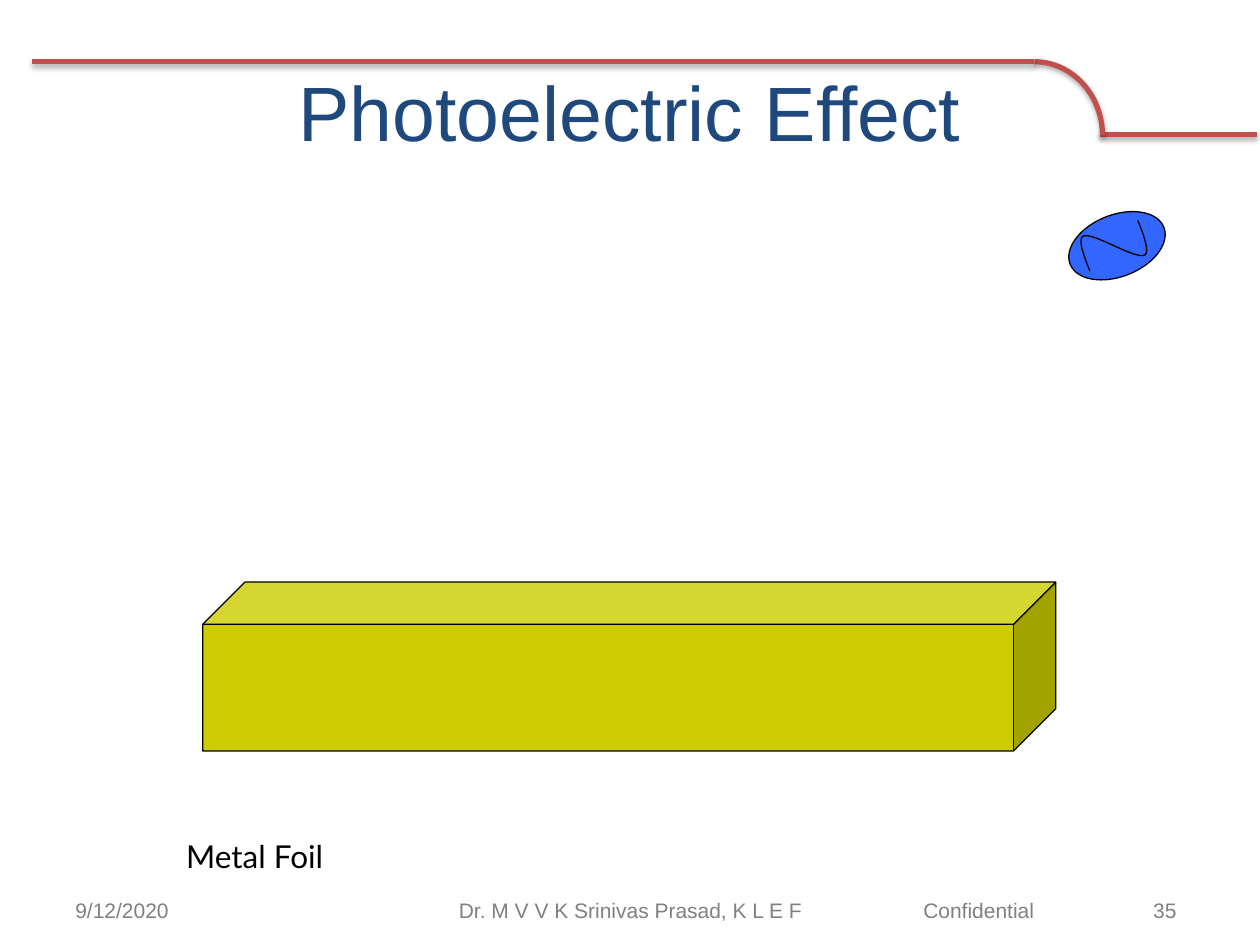
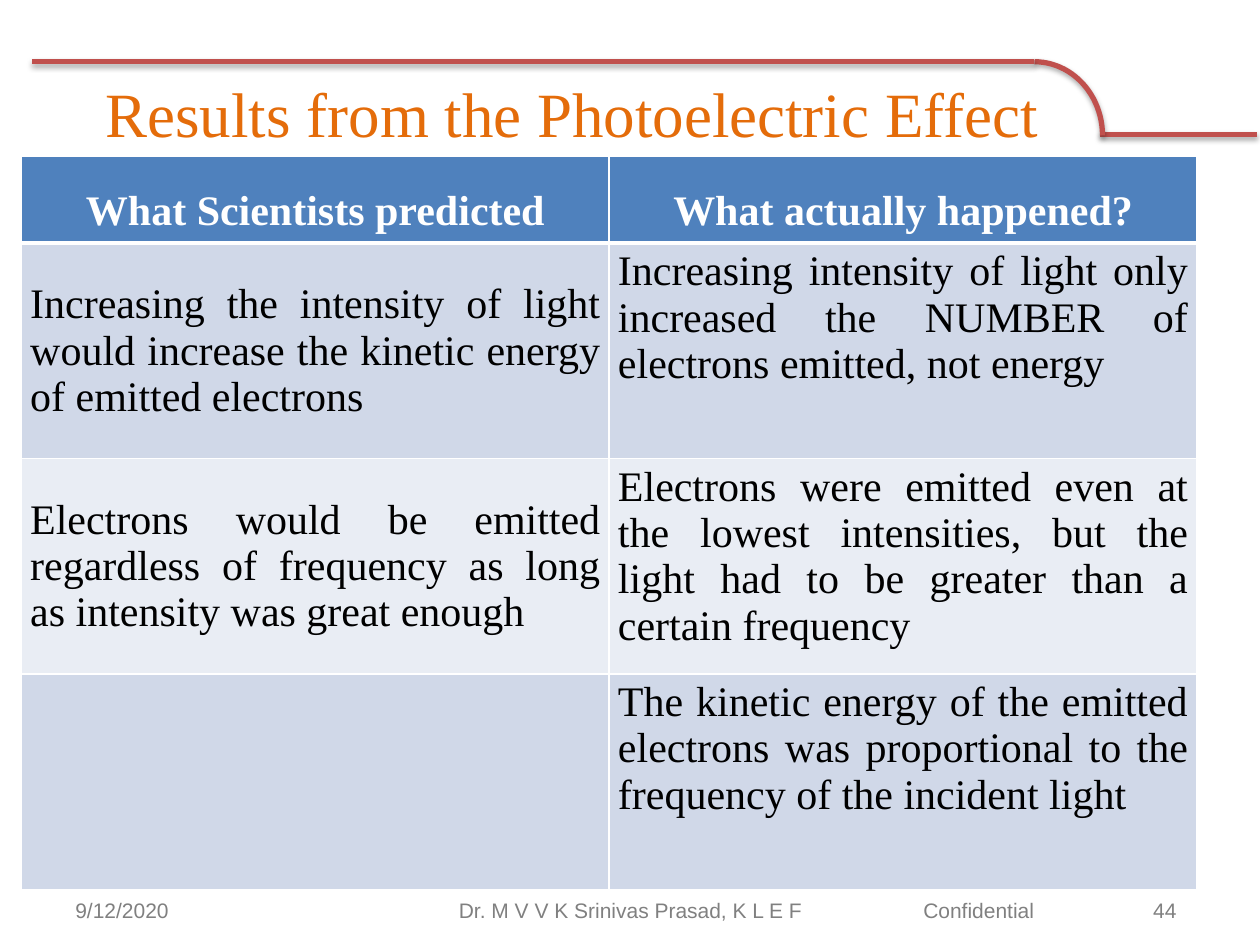
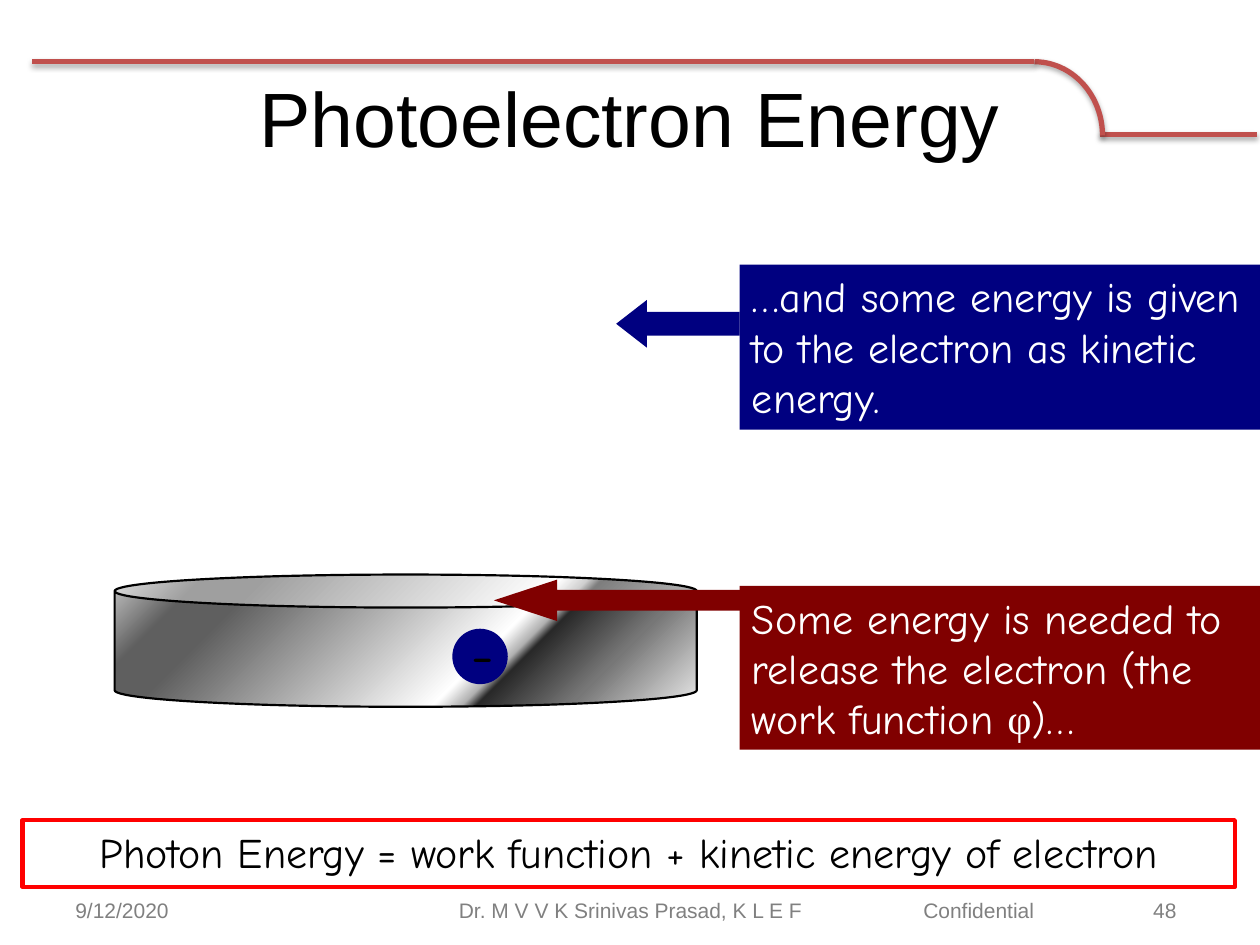
from lxml import etree
from pptx import Presentation
from pptx.dml.color import RGBColor
from pptx.enum import shapes, text
from pptx.oxml import ns, parse_xml
from pptx.util import Inches, Pt

KIND = shapes.MSO_SHAPE
ALIGN = text.PP_ALIGN
ANCHOR = text.MSO_ANCHOR

BLACK, WHITE, GREY = "000000", "FFFFFF", "808080"
RULE_RED, NAVY, MAROON = "C0504D", "000080", "800000"
HEADER_BLUE, BAND_DARK, BAND_LIGHT = "4F81BD", "D0D8E8", "E9EDF4"
SANS, SERIF, CASUAL = "Arial", "Times New Roman", "Comic Neue"

STEEL = [(0, "CBCBCB"), (13, "5F5F5F"), (21, "5F5F5F"), (63, "FFFFFF"),
         (67, "B2B2B2"), (69, "292929"), (82, "777777"), (100, "EAEAEA")]
# Half of the photon's wave: offsets from its centre, two cubic curves
HALF_WAVE = [(0, 0), (-0.11, -0.05), (-0.22, -0.1), (-0.25, -0.07),
             (-0.28, -0.04), (-0.24, 0.08), (-0.19, 0.2)]
RESULTS = [
    ("What Scientists predicted", "What actually happened?"),
    ("Increasing the intensity of light would increase the kinetic energy of emitted electrons",
     "Increasing intensity of light only increased the NUMBER of electrons emitted, not energy"),
    ("Electrons would be emitted regardless of frequency as long as intensity was great enough",
     "Electrons were emitted even at the lowest intensities, but the light had to be greater "
     "than a certain frequency"),
    ("", "The kinetic energy of the emitted electrons was proportional to the frequency of "
         "the incident light"),
]


def colour(code):
    return RGBColor.from_string(code)


def inches(values):
    return [Inches(value) for value in values]


def add_xml(parent, tag, **attributes):
    attributes = {name: str(value) for name, value in attributes.items()}
    return etree.SubElement(parent, ns.qn(tag), attributes)


def curve_points(controls, steps=12):
    """Points along joined cubic curves whose end points are shared."""
    points = [controls[0]]
    for first in range(0, len(controls) - 1, 3):
        a, b, c, d = controls[first:first + 4]
        for step in range(1, steps + 1):
            t = step / steps
            s = 1 - t
            points.append(tuple(
                s ** 3 * a[i] + 3 * s * s * t * b[i] + 3 * s * t * t * c[i] + t ** 3 * d[i]
                for i in (0, 1)))
    return points


class Lecture:
    def __init__(self):
        self.deck = Presentation()
        self.deck.slide_width, self.deck.slide_height = Inches(10), Inches(7.5)
        self.page = None

    def new_page(self, number):
        """Start a slide with the red rule and the footer."""
        self.page = self.deck.slides.add_slide(self.deck.slide_layouts[5])
        self.rule((8.73, 1.07), (9.98, 1.07))
        arc = self.shape(KIND.ARC, (7.67, 0.49, 1.08, 1.17), line=RULE_RED, width=3)
        self.rule_shadow(arc)
        self.rule((8.21, 0.49), (0.25, 0.49))
        footer = dict(size=12, hue=GREY, anchor=ANCHOR.MIDDLE)
        self.label("9/12/2020", (0.5, 7.02, 2.33, 0.4), **footer)
        self.label("Dr. M V V K Srinivas Prasad, K L E F", (3.42, 7.02, 3.17, 0.4),
                   align=ALIGN.CENTER, **footer)
        self.label(f"Confidential\t{number}", (7.23, 7.02, 2.27, 0.4), tab=2.01, **footer)

    def rule(self, start, end):
        line = self.page.shapes.add_connector(
            shapes.MSO_CONNECTOR.STRAIGHT, *inches(start + end))
        line.line.color.rgb = colour(RULE_RED)
        line.line.width = Pt(3)
        self.rule_shadow(line)

    def rule_shadow(self, item):
        properties = item._element.spPr
        effects = properties.find(ns.qn("a:effectLst"))
        if effects is None:
            effects = add_xml(properties, "a:effectLst")
        shadow = add_xml(effects, "a:outerShdw", blurRad=Pt(3.1), dist=Pt(1.8),
                         dir=90 * 60000, rotWithShape=0)
        add_xml(add_xml(shadow, "a:srgbClr", val=BLACK), "a:alpha", val=35000)

    def paint(self, item, fill=None, line=None, width=0.75):
        item.shadow.inherit = False
        if fill:
            item.fill.solid()
            item.fill.fore_color.rgb = colour(fill)
        else:
            item.fill.background()
        if line:
            item.line.color.rgb = colour(line)
            item.line.width = Pt(width)
        else:
            item.line.fill.background()

    def shape(self, kind, place, adjust=(), **style):
        item = self.page.shapes.add_shape(kind, *inches(place))
        for index, value in enumerate(adjust):
            item.adjustments[index] = value
        self.paint(item, **style)
        return item

    def curve(self, controls):
        points = [tuple(inches(point)) for point in curve_points(controls)]
        builder = self.page.shapes.build_freeform(*points[0])
        builder.add_line_segments(points[1:], close=False)
        self.paint(builder.convert_to_shape(), line=BLACK)

    def gradient(self, item, stops, angle):
        item.fill.gradient()
        item.fill.gradient_angle = 360 - angle
        stop_list = item._element.spPr.find(".//" + ns.qn("a:gsLst"))
        for stop in list(stop_list):
            stop_list.remove(stop)
        for percent, code in stops:
            stop = add_xml(stop_list, "a:gs", pos=percent * 1000)
            add_xml(stop, "a:srgbClr", val=code)

    def set_text(self, frame, words, size, hue, font=SANS, align=ALIGN.LEFT,
                 anchor=ANCHOR.TOP, tab=None):
        """Fill a text frame; words is a string or a list of (text, font) spans."""
        frame.word_wrap = True
        frame.auto_size = text.MSO_AUTO_SIZE.NONE
        frame.vertical_anchor = anchor
        para = frame.paragraphs[0]
        para.alignment = align
        if tab:
            tabs = add_xml(para._p.get_or_add_pPr(), "a:tabLst")
            add_xml(tabs, "a:tab", pos=Inches(tab), algn="r")
        para.font.size = Pt(size)
        para.font.color.rgb = colour(hue)
        if isinstance(words, str):
            para.font.name = font
            para.add_run().text = words
        else:
            for part, part_font in words:
                span = para.add_run()
                span.text = part
                span.font.name = part_font

    def label(self, words, place, **style):
        box = self.page.shapes.add_textbox(*inches(place))
        self.set_text(box.text_frame, words, **style)

    def title(self, words, place, hue, size=44, font=SANS):
        box = self.page.shapes.title
        box.left, box.top, box.width, box.height = inches(place)
        self.set_text(box.text_frame, words, size, hue, font, ALIGN.CENTER, ANCHOR.MIDDLE)

    def panel(self, words, place, hue=WHITE, align=ALIGN.LEFT, **style):
        box = self.shape(KIND.RECTANGLE, place, **style)
        self.set_text(box.text_frame, words, 24, hue, CASUAL, align)

    def table(self, rows, place, heights):
        frame = self.page.shapes.add_table(len(rows), len(rows[0]), *inches(place))
        for index, row in enumerate(rows):
            frame.table.rows[index].height = Inches(heights[index])
            for column, words in enumerate(row):
                self.cell(frame.table.cell(index, column), words, index, column)

    def cell(self, cell, words, row, column):
        header = row == 0
        cell.margin_left = cell.margin_right = Inches(0.07)
        cell.margin_top = cell.margin_bottom = Inches(0.04)
        cell.vertical_anchor = ANCHOR.MIDDLE if header or column == 0 else ANCHOR.TOP
        cell.fill.solid()
        cell.fill.fore_color.rgb = colour(
            HEADER_BLUE if header else BAND_DARK if row % 2 else BAND_LIGHT)
        self.borders(cell, {"L": 1, "R": 1, "T": 3 if row == 1 else 1, "B": 3 if header else 1})
        if words:
            para = cell.text_frame.paragraphs[0]
            para.text = words
            para.alignment = ALIGN.CENTER if header else ALIGN.JUSTIFY
            para.line_spacing = 1.5 if header else 1.0
            para.font.name, para.font.size, para.font.bold = SERIF, Pt(24), header
            para.font.color.rgb = colour(WHITE if header else BLACK)

    def borders(self, cell, widths):
        properties = cell._tc.get_or_add_tcPr()
        for index, (side, width) in enumerate(widths.items()):
            properties.insert(index, parse_xml(
                f'<a:ln{side} {ns.nsdecls("a")} w="{Pt(width)}"><a:solidFill>'
                f'<a:srgbClr val="{WHITE}"/></a:solidFill></a:ln{side}>'))


def photoelectric_effect(lecture):
    lecture.new_page(35)
    photon = lecture.shape(KIND.OVAL, (8.62, 1.55, 0.49, 0.8), fill="3366FF", line=BLACK)
    photon.rotation = 68.5
    for sign in (1, -1):
        lecture.curve([(8.84 + sign * x, 1.95 + sign * y) for x, y in HALF_WAVE])
    lecture.title("Photoelectric Effect", (0.33, 0.25, 9.34, 1.25), "1F497D")
    lecture.shape(KIND.CUBE, (1.61, 4.62, 6.77, 1.34), [0.25], fill="CCCC00", line=BLACK)
    lecture.label("Metal Foil", (1.38, 6.59, 5.67, 0.4), size=18, hue=BLACK, font="Lato")


def results(lecture):
    lecture.new_page(44)
    lecture.title("Results from the Photoelectric Effect", (0.5, 0.53, 8.08, 0.72),
                  "E46C0A", 36, SERIF)
    lecture.table(RESULTS, (0.17, 1.24, 9.33, 5.83), [0.69] + [1.71] * 3)


def photoelectron_energy(lecture):
    lecture.new_page(48)
    lecture.title("Photoelectron Energy", (0.5, 0.3, 9, 1.25), BLACK)
    metal = lecture.shape(KIND.CAN, (0.91, 4.56, 4.62, 1.05), [0.25], line=BLACK, width=1.25)
    lecture.gradient(metal, STEEL, 45)
    lecture.shape(KIND.OVAL, (3.59, 4.99, 0.44, 0.44), fill=NAVY)
    lecture.label("-", (3.64, 4.86, 0.43, 0.63), size=32, hue=BLACK, font=CASUAL)
    work_function = [("Some energy is needed to release the electron (the work function ", CASUAL),
                     ("φ", SERIF), (")…", CASUAL)]
    lecture.panel(work_function, (5.87, 4.65, 4.13, 1.3), fill=MAROON)
    lecture.shape(KIND.LEFT_ARROW, (3.92, 4.6, 2.03, 0.33), [0.5, 1.525], fill=MAROON)
    lecture.panel("…and some energy is given to the electron as kinetic energy.",
                  (5.87, 2.1, 4.13, 1.31), fill=NAVY)
    lecture.shape(KIND.LEFT_ARROW, (4.89, 2.38, 0.98, 0.38), [0.5, 0.644], fill=NAVY)
    lecture.panel("Photon Energy = work function + kinetic energy of electron",
                  (0.18, 6.51, 9.62, 0.53), BLACK, ALIGN.CENTER, line="FF0000", width=2.5)


def main():
    lecture = Lecture()
    photoelectric_effect(lecture)
    results(lecture)
    photoelectron_energy(lecture)
    lecture.deck.save("out.pptx")


if __name__ == "__main__":
    main()
